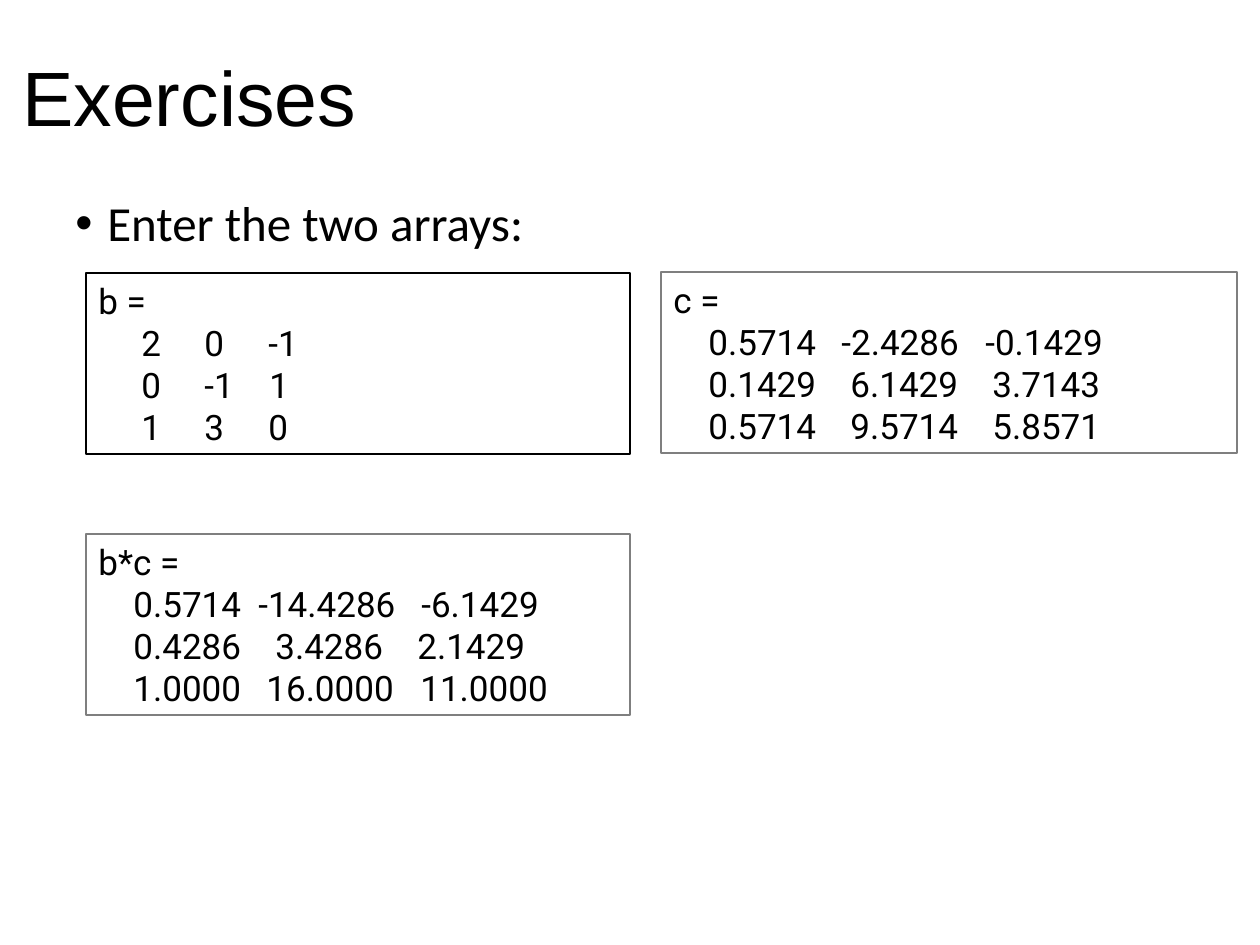
from lxml.etree import SubElement
from pptx import Presentation
from pptx.dml.color import RGBColor
from pptx.enum.shapes import MSO_SHAPE
from pptx.enum.text import MSO_ANCHOR, PP_ALIGN
from pptx.oxml.ns import qn
from pptx.util import Emu, Pt

PX = 914400 // 126
BLACK = RGBColor(0, 0, 0)
GRAY = RGBColor(0x7F, 0x7F, 0x7F)


def add_run(paragraph, text, font, size):
    run = paragraph.add_run()
    run.text = text
    run.font.name = font
    run.font.size = Pt(size)
    run.font.color.rgb = BLACK


def add_text_box(left, top, width, height, anchor):
    box = slide.shapes.add_textbox(*[Emu(v * PX) for v in (left, top, width, height)])
    box.text_frame.word_wrap = True
    box.text_frame.vertical_anchor = anchor
    paragraph = box.text_frame.paragraphs[0]
    paragraph.line_spacing = 0.9
    return paragraph


presentation = Presentation()
presentation.slide_width = Emu(1260 * PX)
presentation.slide_height = Emu(945 * PX)
slide = presentation.slides.add_slide(presentation.slide_layouts[6])

# Title
title = add_text_box(10, 10, 1239, 183, MSO_ANCHOR.MIDDLE)
add_run(title, "Exercises", "Arial", 44)

# Bulleted instruction
instruction = add_text_box(63, 193, 1087, 600, MSO_ANCHOR.TOP)
instruction.space_before = Pt(10)
add_run(instruction, "Enter the two arrays:", "Calibri", 28)
properties = instruction._p.get_or_add_pPr()
properties.set("marL", str(32 * PX))
properties.set("indent", str(-32 * PX))
SubElement(properties, qn("a:buFont"), typeface="Arial")
SubElement(properties, qn("a:buChar"), char="•")

# Matrices: name, left, top, width, line colour, rows of (tab stop, value)
matrices = [
    ("b", 86, 273, 544, BLACK, [
        [(43, "2"), (106, "0"), (170, "-1")],
        [(43, "0"), (106, "-1"), (171, "1")],
        [(43, "1"), (106, "3"), (170, "0")]]),
    ("b*c", 86, 534, 544, GRAY, [
        [(35, "0.5714"), (160, "-14.4286"), (323, "-6.1429")],
        [(35, "0.4286"), (177, "3.4286"), (319, "2.1429")],
        [(35, "1.0000"), (168, "16.0000"), (322, "11.0000")]]),
    ("c", 661, 272, 576, GRAY, [
        [(35, "0.5714"), (168, "-2.4286"), (312, "-0.1429")],
        [(35, "0.1429"), (177, "6.1429"), (319, "3.7143")],
        [(35, "0.5714"), (177, "9.5714"), (319, "5.8571")]]),
]
for name, left, top, width, color, rows in matrices:
    shape = slide.shapes.add_shape(
        MSO_SHAPE.RECTANGLE, *[Emu(v * PX) for v in (left, top, width, 181)])
    shape.shadow.inherit = False
    shape.fill.background()
    shape.line.color.rgb = color
    shape.line.width = Pt(0.75)
    frame = shape.text_frame
    frame.word_wrap = True
    frame.vertical_anchor = MSO_ANCHOR.TOP
    heading = frame.paragraphs[0]
    heading.alignment = PP_ALIGN.LEFT
    add_run(heading, f"{name} =", "Roboto", 20)
    for row in rows:
        paragraph = frame.add_paragraph()
        paragraph.alignment = PP_ALIGN.LEFT
        tab_list = SubElement(paragraph._p.get_or_add_pPr(), qn("a:tabLst"))
        for stop, value in row:
            SubElement(tab_list, qn("a:tab"), pos=str(stop * PX), algn="l")
            add_run(paragraph, "\t" + value, "Roboto", 20)

presentation.save("out.pptx")
